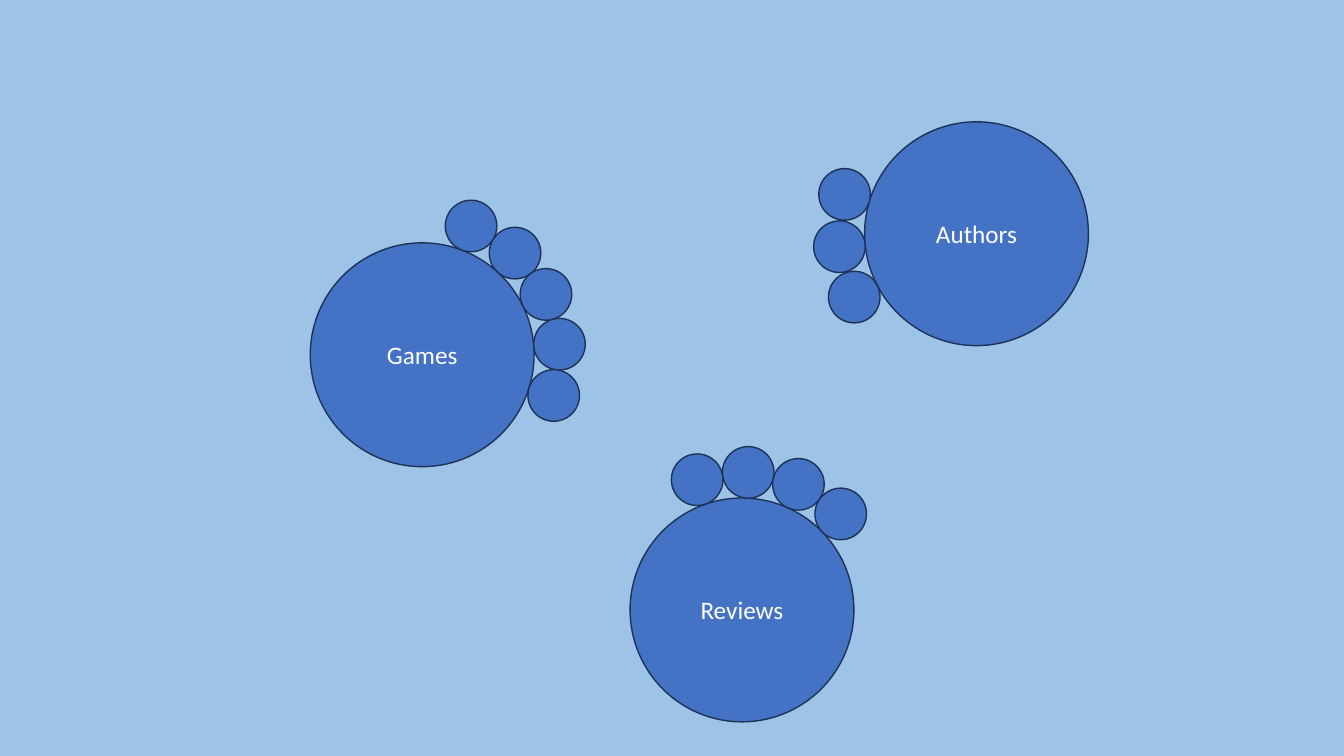
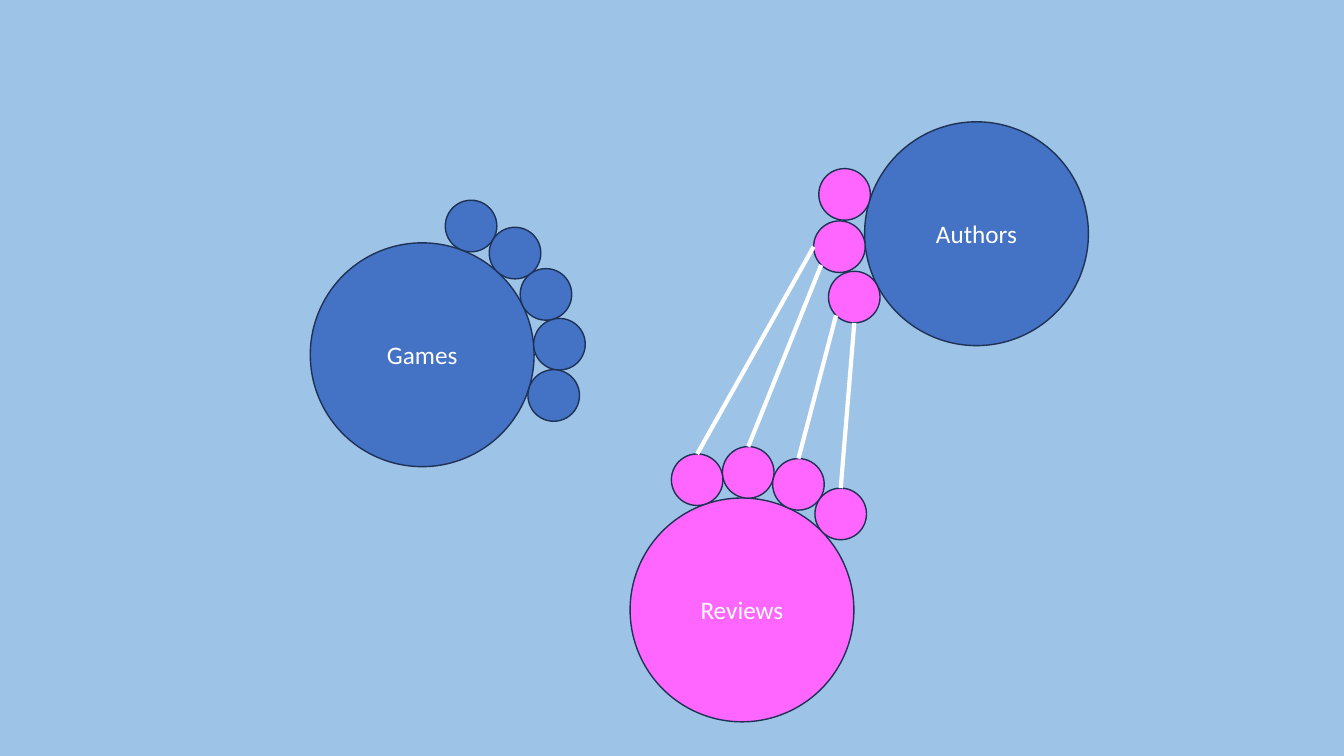
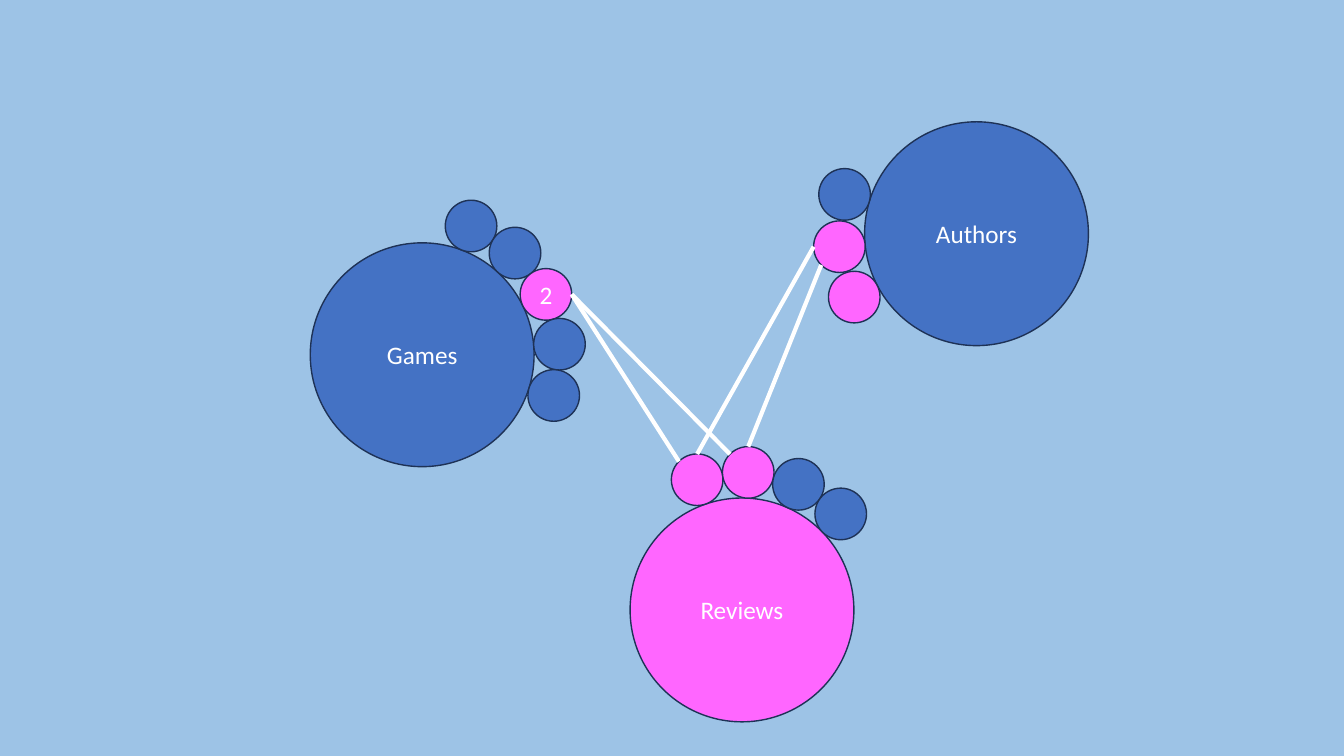
from dataclasses import dataclass
from math import cos, radians, sin

from lxml.etree import SubElement
from pptx import Presentation
from pptx.dml.color import RGBColor
from pptx.enum.shapes import MSO_CONNECTOR, MSO_SHAPE
from pptx.enum.text import MSO_ANCHOR, PP_ALIGN
from pptx.oxml.ns import qn
from pptx.util import Cm, Pt


@dataclass(frozen=True)
class Theme:
    background: RGBColor = RGBColor(0x9D, 0xC3, 0xE6)
    node: RGBColor = RGBColor(0x44, 0x72, 0xC4)
    highlight: RGBColor = RGBColor(0xFF, 0x66, 0xFF)
    outline: RGBColor = RGBColor(0x1E, 0x32, 0x56)
    light: RGBColor = RGBColor(0xFF, 0xFF, 0xFF)
    font: str = "Calibri"
    label_size: Pt = Pt(18)
    outline_width: Pt = Pt(1)
    link_width: Pt = Pt(3)


THEME = Theme()

# Sizes in centimetres; records touch the rim of their collection
COLLECTION_RADIUS = 2.82
RECORD_RADIUS = 0.65
ORBIT = COLLECTION_RADIUS + RECORD_RADIUS

# Collection: centre x, centre y, angle of first record, angle step, records
COLLECTIONS = {
    "Games": (10.64, 8.94, -69.2, 21.6, 5),
    "Authors": (24.61, 5.89, 152.6, 22, 3),
    "Reviews": (18.7, 15.37, -109, 21.6, 4),
}

# Angles of the points on a record where links attach
RIGHT, BOTTOM, BOTTOM_LEFT, LEFT, TOP_LEFT, TOP = 0, 90, 135, 180, 225, 270

# Links: review, its attachment, other collection, record, its attachment
FIRST_AUTHOR_LINKS = [
    (0, TOP, "Authors", 1, LEFT),
    (1, TOP, "Authors", 1, BOTTOM_LEFT),
]
SECOND_AUTHOR_LINKS = [
    (2, TOP, "Authors", 0, BOTTOM_LEFT),
    (3, TOP, "Authors", 0, BOTTOM),
]
GAME_LINKS = [
    (0, TOP_LEFT, "Games", 2, RIGHT),
    (1, TOP_LEFT, "Games", 2, RIGHT),
]

# Steps: highlighted collections, highlighted records, record labels, links
STEPS = [
    (set(), {}, {}, []),
    ({"Reviews"}, {"Authors": {0, 1, 2}, "Reviews": {0, 1, 2, 3}}, {},
     FIRST_AUTHOR_LINKS + SECOND_AUTHOR_LINKS),
    ({"Reviews"}, {"Games": {2}, "Authors": {0, 1}, "Reviews": {0, 1}},
     {("Games", 2): "2"}, FIRST_AUTHOR_LINKS + GAME_LINKS),
]


def around(centre, radius, angle):
    x, y = centre
    return x + radius * cos(radians(angle)), y + radius * sin(radians(angle))


def add_circle(slide, centre, radius, highlighted, label=""):
    x, y = centre
    circle = slide.shapes.add_shape(
        MSO_SHAPE.OVAL, Cm(x - radius), Cm(y - radius), Cm(2 * radius), Cm(2 * radius))
    circle.shadow.inherit = False
    circle.fill.solid()
    circle.fill.fore_color.rgb = THEME.highlight if highlighted else THEME.node
    circle.line.color.rgb = THEME.outline
    circle.line.width = THEME.outline_width
    if label:
        circle.text_frame.text = label
        circle.text_frame.vertical_anchor = MSO_ANCHOR.MIDDLE
        paragraph = circle.text_frame.paragraphs[0]
        paragraph.alignment = PP_ALIGN.CENTER
        font = paragraph.runs[0].font
        font.name, font.size = THEME.font, THEME.label_size
        font.color.rgb = THEME.light


# Presentation with a shared background
presentation = Presentation()
presentation.slide_width, presentation.slide_height = Cm(33.87), Cm(19.05)
backdrop = presentation.slide_master.background.fill
backdrop.solid()
backdrop.fore_color.rgb = THEME.background
blank_layout = presentation.slide_layouts[6]

# Centres of all records
records = {
    (name, index): around((x, y), ORBIT, start + index * step)
    for name, (x, y, start, step, count) in COLLECTIONS.items()
    for index in range(count)
}

for active_collections, active_records, record_labels, links in STEPS:
    slide = presentation.slides.add_slide(blank_layout)

    # Collections and their records
    for name, (x, y, start, step, count) in COLLECTIONS.items():
        add_circle(slide, (x, y), COLLECTION_RADIUS, name in active_collections, name)
        for index in range(count):
            add_circle(slide, records[name, index], RECORD_RADIUS,
                       index in active_records.get(name, ()),
                       record_labels.get((name, index), ""))

    # Links from reviews to authors and games
    for review, review_side, name, index, record_side in links:
        start_point = around(records["Reviews", review], RECORD_RADIUS, review_side)
        end_point = around(records[name, index], RECORD_RADIUS, record_side)
        link = slide.shapes.add_connector(
            MSO_CONNECTOR.STRAIGHT, *map(Cm, start_point + end_point))
        link.line.color.rgb = THEME.light
        link.line.width = THEME.link_width
        SubElement(link.element.spPr, qn("a:effectLst"))

presentation.save("out.pptx")
